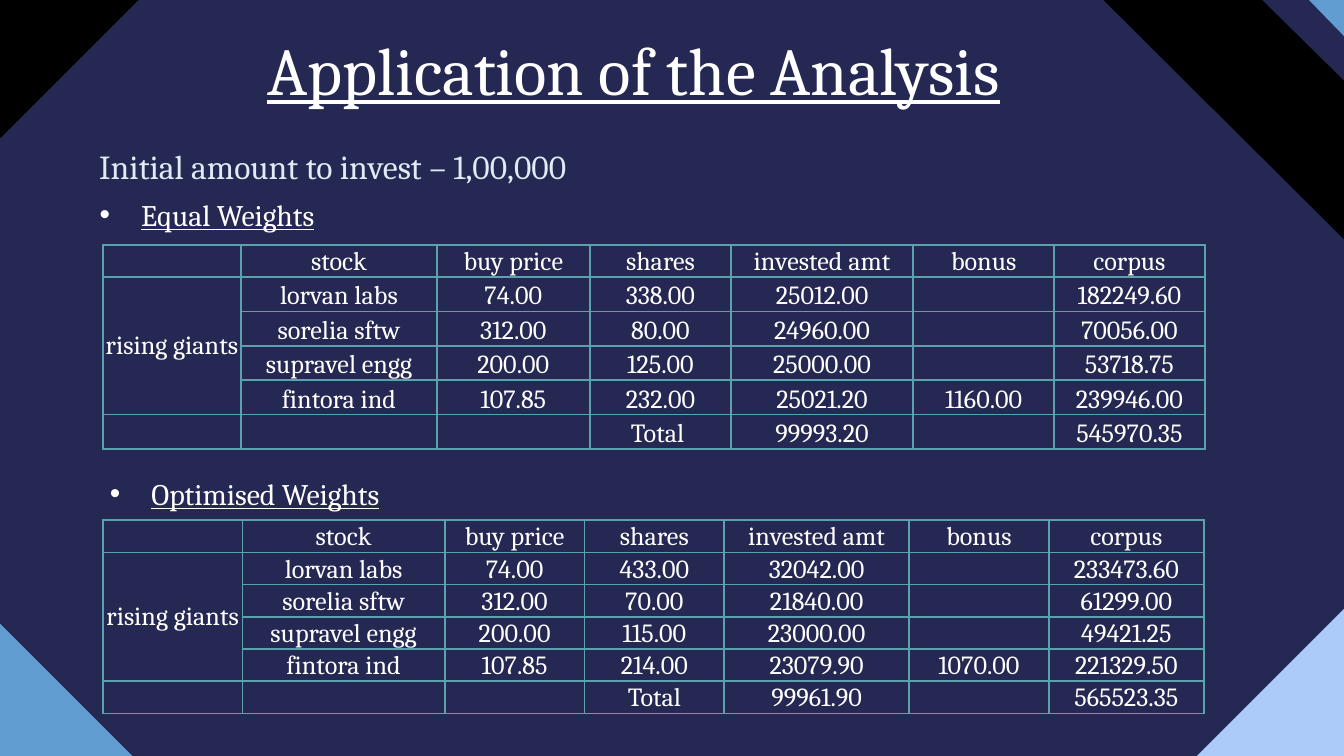
from lxml import etree
from pptx import Presentation
from pptx import util as u
from pptx.dml.color import RGBColor
from pptx.enum import text
from pptx.oxml.ns import qn

NAVY = RGBColor(0x24, 0x28, 0x52)
BLACK = RGBColor(0x00, 0x00, 0x00)
WHITE = RGBColor(0xFF, 0xFF, 0xFF)
MIST = RGBColor(0xE0, 0xEB, 0xF6)
BLUE = RGBColor(0x62, 0x9D, 0xD1)
PALE_BLUE = RGBColor(0xAC, 0xCB, 0xF9)
TEAL = RGBColor(0x5A, 0xA2, 0xAE)

COLUMNS, ROWS = 100, 56.25  # the grid that covers the slide
CELL = u.Inches(0.1)
FONT = "Cambria"


def grid(value):
    return u.Emu(round(value * CELL))


def apply(target, values):
    for name, value in values.items():
        setattr(target, name, value)


class SlideBuilder:
    def __init__(self, presentation):
        self.slide = presentation.slides.add_slide(presentation.slide_layouts[6])
        fill = self.slide.background.fill
        fill.solid()
        fill.fore_color.rgb = NAVY

    def polygon(self, points, color):
        (x, y), *others = points
        builder = self.slide.shapes.build_freeform(x * 100, y * 100, CELL / 100)
        builder.add_line_segments([(a * 100, b * 100) for a, b in others])
        shape = builder.convert_to_shape()
        shape.shadow.inherit = False
        shape.fill.solid()
        shape.fill.fore_color.rgb = color
        shape.line.fill.background()

    def run(self, paragraph, words, size, color=WHITE, underline=False):
        run = paragraph.add_run()
        run.text = words
        apply(run.font, {"name": FONT, "size": u.Pt(size), "underline": underline})
        run.font.color.rgb = color

    def textbox(self, box, words, size, color=WHITE, underline=False):
        shape = self.slide.shapes.add_textbox(*map(grid, box))
        apply(shape.text_frame, {
            "word_wrap": True,
            "auto_size": text.MSO_AUTO_SIZE.SHAPE_TO_FIT_TEXT,
        })
        paragraph = shape.text_frame.paragraphs[0]
        self.run(paragraph, words, size, color, underline)
        return paragraph

    def tabbed(self, box, words, size, color, stop):
        paragraph = self.textbox(box, "\t" + words, size, color)
        stops = etree.SubElement(paragraph._p.get_or_add_pPr(), qn("a:tabLst"))
        etree.SubElement(stops, qn("a:tab"), pos=str(grid(stop)), algn="l")

    def bullet(self, box, words):
        paragraph = self.textbox(box, words, 16, underline=True)
        paragraph.alignment = text.PP_ALIGN.CENTER
        properties = paragraph._p.get_or_add_pPr()
        indent = grid(3.1)
        properties.set("marL", str(indent))
        properties.set("indent", str(-indent))
        color = etree.SubElement(properties, qn("a:buClr"))
        etree.SubElement(color, qn("a:srgbClr"), val=str(WHITE))
        etree.SubElement(properties, qn("a:buFont"), typeface="Arial")
        etree.SubElement(properties, qn("a:buChar"), char="•")

    def borders(self, cell):
        properties = cell._tc.get_or_add_tcPr()
        for index, side in enumerate(("lnL", "lnR", "lnT", "lnB")):
            line = etree.Element(qn(f"a:{side}"), w=str(u.Pt(1)))
            fill = etree.SubElement(line, qn("a:solidFill"))
            etree.SubElement(fill, qn("a:srgbClr"), val=str(TEAL))
            properties.insert(index, line)

    def table(self, left, top, widths, heights, records):
        frame = self.slide.shapes.add_table(
            len(heights), len(widths),
            *map(grid, (left, top, sum(widths), sum(heights))))
        table = frame.table
        apply(table, {"first_row": False, "horz_banding": False})
        for column, width in zip(table.columns, widths):
            column.width = grid(width)
        for row, height, record in zip(table.rows, heights, records):
            row.height = grid(height)
            for cell, words in zip(row.cells, record):
                apply(cell, {
                    "margin_left": grid(0.06), "margin_right": grid(0.06),
                    "margin_top": grid(0.06), "margin_bottom": 0,
                    "vertical_anchor": text.MSO_ANCHOR.BOTTOM,
                })
                cell.fill.background()
                self.borders(cell)
                paragraph = cell.text_frame.paragraphs[0]
                paragraph.alignment = text.PP_ALIGN.CENTER
                if words:
                    self.run(paragraph, words, 14)
                else:  # keeps empty cells from stretching their row
                    etree.SubElement(paragraph._p, qn("a:endParaRPr"), sz="1400")
        group = table.cell(1, 0)
        group.merge(table.cell(4, 0))
        group.vertical_anchor = text.MSO_ANCHOR.MIDDLE


HEADER = ["", "stock", "buy price", "shares", "invested amt", "bonus", "corpus"]
STOCKS = [("lorvan labs", "74.00"), ("sorelia sftw", "312.00"),
          ("supravel engg", "200.00"), ("fintora ind", "107.85")]


def portfolio(holdings, total, invested, corpus):
    """Rows of a table: header, one row per stock, total."""
    body = [["rising giants" if index == 0 else "", *stock, *holding]
            for index, (stock, holding) in enumerate(zip(STOCKS, holdings))]
    return [HEADER, *body, ["", "", "", total, invested, "", corpus]]


EQUAL = portfolio([
    ("338.00", "25012.00", "", "182249.60"),
    ("80.00", "24960.00", "", "70056.00"),
    ("125.00", "25000.00", "", "53718.75"),
    ("232.00", "25021.20", "1160.00", "239946.00"),
], "Total ", "99993.20", "545970.35")

OPTIMISED = portfolio([
    ("433.00", "32042.00", "", "233473.60"),
    ("70.00", "21840.00", "", "61299.00"),
    ("115.00", "23000.00", "", "49421.25"),
    ("214.00", "23079.90", "1070.00", "221329.50"),
], "Total", "99961.90", "565523.35")

CORNERS = [
    ([(111.8, 57), (100.1, 45.2), (88.3, 57)], PALE_BLUE),
    ([(81.9, -0.2), (100.5, 18.3), (106.9, 11.9), (106.9, 0.1),
      (100.5, 6.5), (93.7, -0.2)], BLACK),
    ([(97.2, -0.2), (100.4, 3.1), (103.6, -0.2)], BLUE),
    ([(10.5, -0.2), (-24.4, 34.7), (-36.5, 22.6), (-36.5, 0.3),
      (-24.4, 12.4), (-11.8, -0.2)], BLACK),
    ([(10.5, 56.9), (-17.8, 28.6), (-27.5, 38.4), (-27.5, 56.4),
      (-17.8, 46.6), (-7.5, 56.9)], BLUE),
]


def main():
    presentation = Presentation()
    apply(presentation, {"slide_width": grid(COLUMNS), "slide_height": grid(ROWS)})
    builder = SlideBuilder(presentation)

    # Corner decoration
    for points, color in CORNERS:
        builder.polygon(points, color)

    # Starting amount and title
    builder.tabbed((-3.6, 10.4, 89.4, 4), "Initial amount to invest – 1,00,000", 18, MIST, 10)
    builder.textbox((18.9, 1.6, 62.2, 7.1), "Application of the Analysis", 36, underline=True)

    # Portfolio tables
    builder.table(7.65, 18.22, [10.3, 14.55, 11.4, 10.5, 13.55, 10.5, 11.2],
                  [2.4] + [2.56] * 5, EQUAL)
    builder.table(7.65, 38.7, [10.4, 15.05, 10.4, 10.4, 13.75, 10.4, 11.55],
                  [2.4] * 6, OPTIMISED)

    # Table headings
    builder.bullet((-18.9, 34.9, 74.2, 3.7), "Optimised Weights")
    builder.bullet((-21.7, 14.15, 74.2, 3.7), "Equal Weights")

    presentation.save("out.pptx")


if __name__ == "__main__":
    main()
